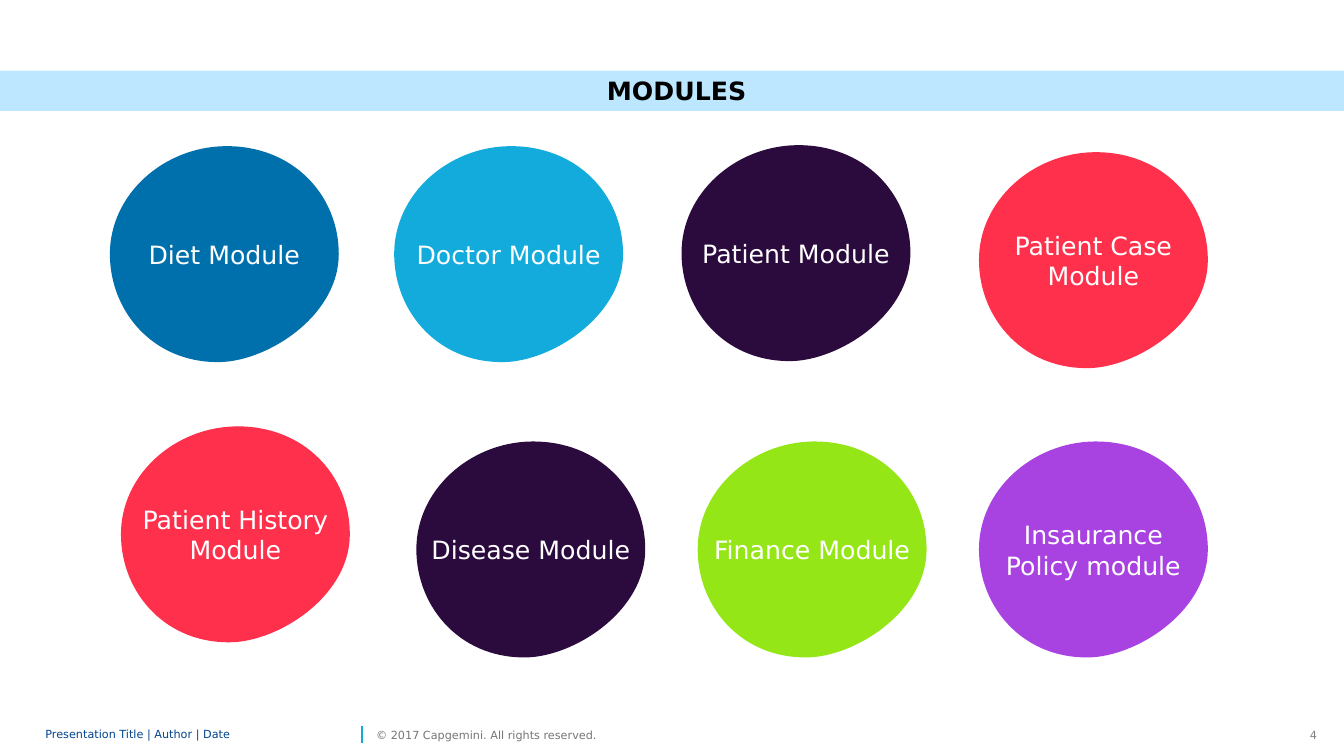
from pptx import Presentation
from pptx import util as u
from pptx.dml.color import RGBColor
from pptx.enum import shapes, text
from lxml import etree

FONT = "DejaVu Sans"
WHITE = RGBColor(0xFF, 0xFF, 0xFF)
BLACK = RGBColor(0, 0, 0)
BLUE = RGBColor(0x00, 0x70, 0xAD)
CYAN = RGBColor(0x12, 0xAB, 0xDB)
PLUM = RGBColor(0x2B, 0x0A, 0x3D)
RED = RGBColor(0xFF, 0x30, 0x4C)
LIME = RGBColor(0x95, 0xE6, 0x16)
VIOLET = RGBColor(0xA8, 0x42, 0xE0)
PALE = RGBColor(0xBC, 0xE7, 0xFF)
NAVY = RGBColor(0x00, 0x45, 0x8D)
GREY = RGBColor(0x76, 0x76, 0x76)
SILVER = RGBColor(0x80, 0x80, 0x80)

DML = "{http://schemas.openxmlformats.org/drawingml/2006/main}"
WIDE, HIGH = u.Inches(2.27), u.Inches(2.15)
START = (0, 1.07)
CURVES = [
    [(0, 0.48), (0.53, 0.01), (1.14, 0)],
    [(1.81, -0.01), (2.27, 0.48), (2.27, 1.07)],
    [(2.27, 1.66), (1.62, 2.1), (1.14, 2.14)],
    [(0.46, 2.18), (0, 1.66), START],
]

MODULES = [
    ("Finance Module", 6.92, 4.38, LIME),
    ("Patient History Module", 1.2, 4.23, RED),
    ("Doctor Module", 3.91, 1.45, CYAN),
    ("Diet Module", 1.09, 1.45, BLUE),
    ("Patient Module", 6.76, 1.44, PLUM),
    ("Insaurance Policy module", 9.71, 4.38, VIOLET),
    ("Patient Case Module", 9.71, 1.51, RED),
    ("Disease Module", 4.13, 4.38, PLUM),
]


def step(track, tag, points):
    node = etree.SubElement(track, DML + tag)
    for x, y in points:
        etree.SubElement(node, DML + "pt", x=str(u.Inches(x)), y=str(u.Inches(y)))


def bend(shape):
    track = next(shape.element.iter(DML + "path"))
    for node in list(track):
        track.remove(node)
    step(track, "moveTo", [START])
    for curve in CURVES:
        step(track, "cubicBezTo", curve)
    step(track, "close", [])


def write(shape, words, size, color, align, bold=False):
    frame = shape.text_frame
    frame.text = words
    frame.word_wrap = True
    frame.vertical_anchor = text.MSO_ANCHOR.MIDDLE
    para = frame.paragraphs[0]
    para.alignment = align
    font = para.runs[0].font
    font.name, font.size, font.bold = FONT, u.Pt(size), bold
    font.color.rgb = color
    return frame


def paint(shape, color):
    shape.shadow.inherit = False
    shape.fill.solid()
    shape.fill.fore_color.rgb = color
    shape.line.fill.background()


def blob(slide, words, left, top, color):
    pen = slide.shapes.build_freeform(0, 0)
    pen.add_line_segments([(WIDE, 0), (WIDE, HIGH), (0, HIGH)], close=True)
    shape = pen.convert_to_shape(u.Inches(left), u.Inches(top))
    bend(shape)
    paint(shape, color)
    write(shape, words, 18, WHITE, text.PP_ALIGN.CENTER)


def banner(slide, words):
    shape = slide.shapes.add_shape(
        shapes.MSO_SHAPE.RECTANGLE, 0, u.Inches(0.7), u.Inches(13.33), u.Inches(0.4))
    paint(shape, PALE)
    frame = write(shape, words, 18, BLACK, text.PP_ALIGN.CENTER, True)
    frame.margin_left = u.Inches(0.19)


def label(slide, words, left, width, color, align=text.PP_ALIGN.LEFT):
    box = slide.shapes.add_textbox(
        u.Inches(left), u.Inches(7.17), u.Inches(width), u.Inches(0.24))
    frame = write(box, words, 8, color, align)
    frame.margin_left = frame.margin_right = 0
    frame.margin_top = frame.margin_bottom = 0
    return frame


def rule(slide):
    line = slide.shapes.add_connector(
        shapes.MSO_CONNECTOR.STRAIGHT,
        u.Inches(3.59), u.Inches(7.37), u.Inches(3.59), u.Inches(7.2))
    line.line.color.rgb = CYAN
    line.line.width = u.Pt(1)
    etree.SubElement(line.element.spPr, DML + "effectLst")


def main():
    deck = Presentation()
    deck.slide_width, deck.slide_height = u.Inches(13.33), u.Inches(7.5)
    slide = deck.slides.add_slide(deck.slide_layouts[6])
    page = label(slide, "4", 12.89, 0.27, SILVER, text.PP_ALIGN.RIGHT)
    page.margin_right = u.Inches(0.1)
    rule(slide)
    foot = label(slide, "Presentation Title | Author | Date", 0.45, 3.09, NAVY)
    foot.paragraphs[0].line_spacing = 0.85
    label(slide, "© 2017 Capgemini. All rights reserved.", 3.73, 2.43, GREY)
    for module in MODULES:
        blob(slide, *module)
    banner(slide, "MODULES")
    deck.save("out.pptx")


if __name__ == "__main__":
    main()
